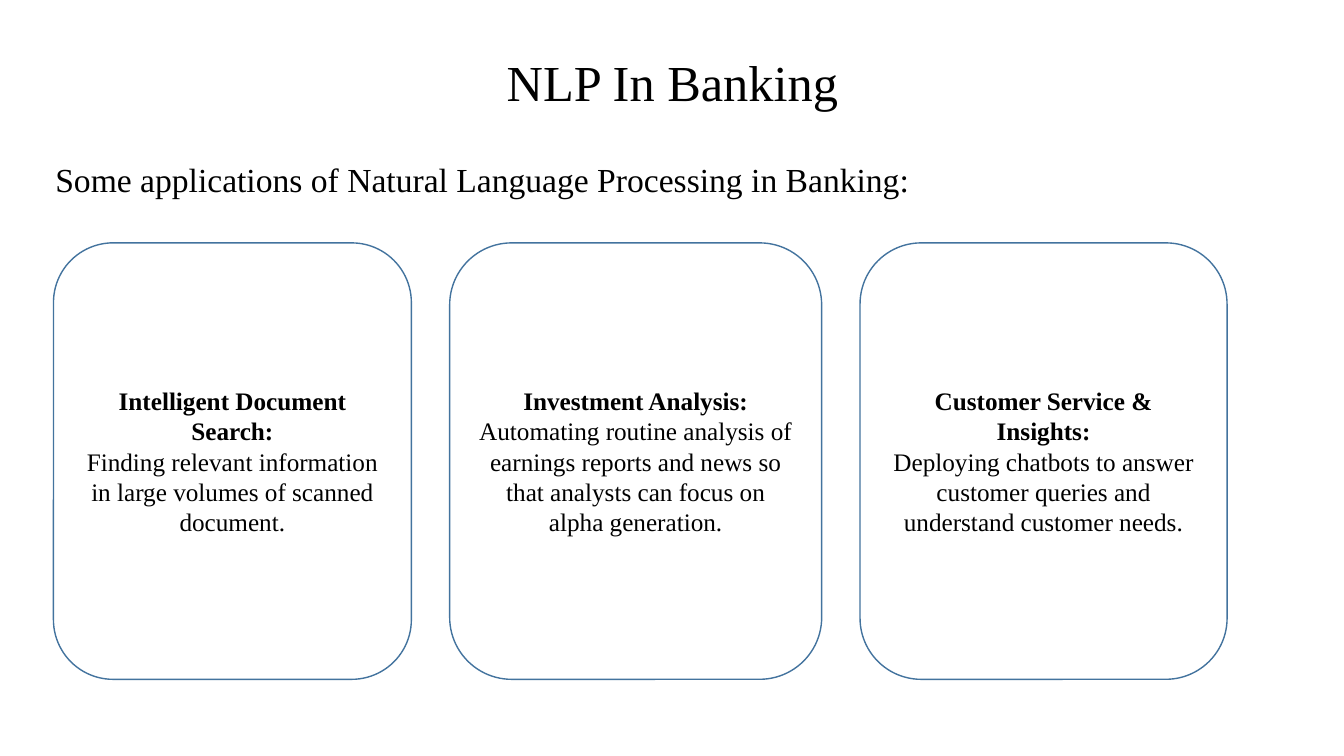
from pptx import Presentation
from pptx.dml.color import RGBColor
from pptx.enum.shapes import MSO_SHAPE as Shape
from pptx.enum.text import MSO_ANCHOR as Anchor, PP_ALIGN as Align
from pptx.util import Inches, Pt

FONT = "Times New Roman"
INK = "000000"
OUTLINE = "43739E"
COLUMN = Inches(13.33) / 100
ROW = Inches(7.5) / 100
CARD_GAP = 2.85
APPLICATIONS = [
    (26.63, "Intelligent Document Search:",
     "Finding relevant information in large volumes of scanned document."),
    (27.68, "Investment Analysis:",
     "Automating routine analysis of earnings reports and news so that "
     "analysts can focus on alpha generation."),
    (27.31, "Customer Service & Insights:",
     "Deploying chatbots to answer customer queries and understand "
     "customer needs."),
]


def color(hex_code):
    """Turn a hex string into a colour."""
    return RGBColor.from_string(hex_code)


def place(box):
    """Turn a box in columns and rows into slide lengths."""
    left, top, width, height = box
    return (round(left * COLUMN), round(top * ROW),
            round(width * COLUMN), round(height * ROW))


def write(paragraph, wording, size, align, bold=False):
    """Fill a paragraph with text in the slide's font."""
    paragraph.text = wording
    paragraph.alignment = align
    paragraph.font.name = FONT
    paragraph.font.size = Pt(size)
    paragraph.font.bold = bold
    paragraph.font.color.rgb = color(INK)


def add_line(slide, box, wording, size, align, anchor, spacing, before=0):
    """Add a one-paragraph text box."""
    frame = slide.shapes.add_textbox(*place(box)).text_frame
    frame.word_wrap = True
    frame.vertical_anchor = anchor
    line = frame.paragraphs[0]
    write(line, wording, size, align)
    line.line_spacing = spacing
    line.space_before = Pt(before)


def add_card(slide, box, heading, detail):
    """Add a rounded card with a bold heading above its detail."""
    card = slide.shapes.add_shape(Shape.ROUNDED_RECTANGLE, *place(box))
    card.shadow.inherit = False
    card.fill.background()
    card.line.color.rgb = color(OUTLINE)
    card.line.width = Pt(1)
    frame = card.text_frame
    frame.word_wrap = True
    frame.vertical_anchor = Anchor.MIDDLE
    write(frame.paragraphs[0], heading, 18, Align.CENTER, bold=True)
    write(frame.add_paragraph(), detail, 18, Align.CENTER)


def add_cards(slide, box):
    """Lay the application cards in a row with equal gaps."""
    left, top, _, height = box
    for width, heading, detail in APPLICATIONS:
        add_card(slide, (left, top, width, height), heading, detail)
        left += width + CARD_GAP


def build():
    """Build and save the slide."""
    deck = Presentation()
    deck.slide_width, deck.slide_height = Inches(13.33), Inches(7.5)
    slide = deck.slides.add_slide(deck.slide_layouts[6])
    add_line(slide, (6.9, 5.33, 86.27, 11.87), "NLP In Banking",
             36, Align.CENTER, Anchor.MIDDLE, 0.9)
    add_line(slide, (3.38, 19.33, 87.92, 9.33),
             "Some applications of Natural Language Processing in Banking:",
             24, Align.LEFT, Anchor.TOP, 1.2, before=10)
    add_cards(slide, (3.98, 32.13, 87.32, 57.73))
    deck.save("out.pptx")


build()
